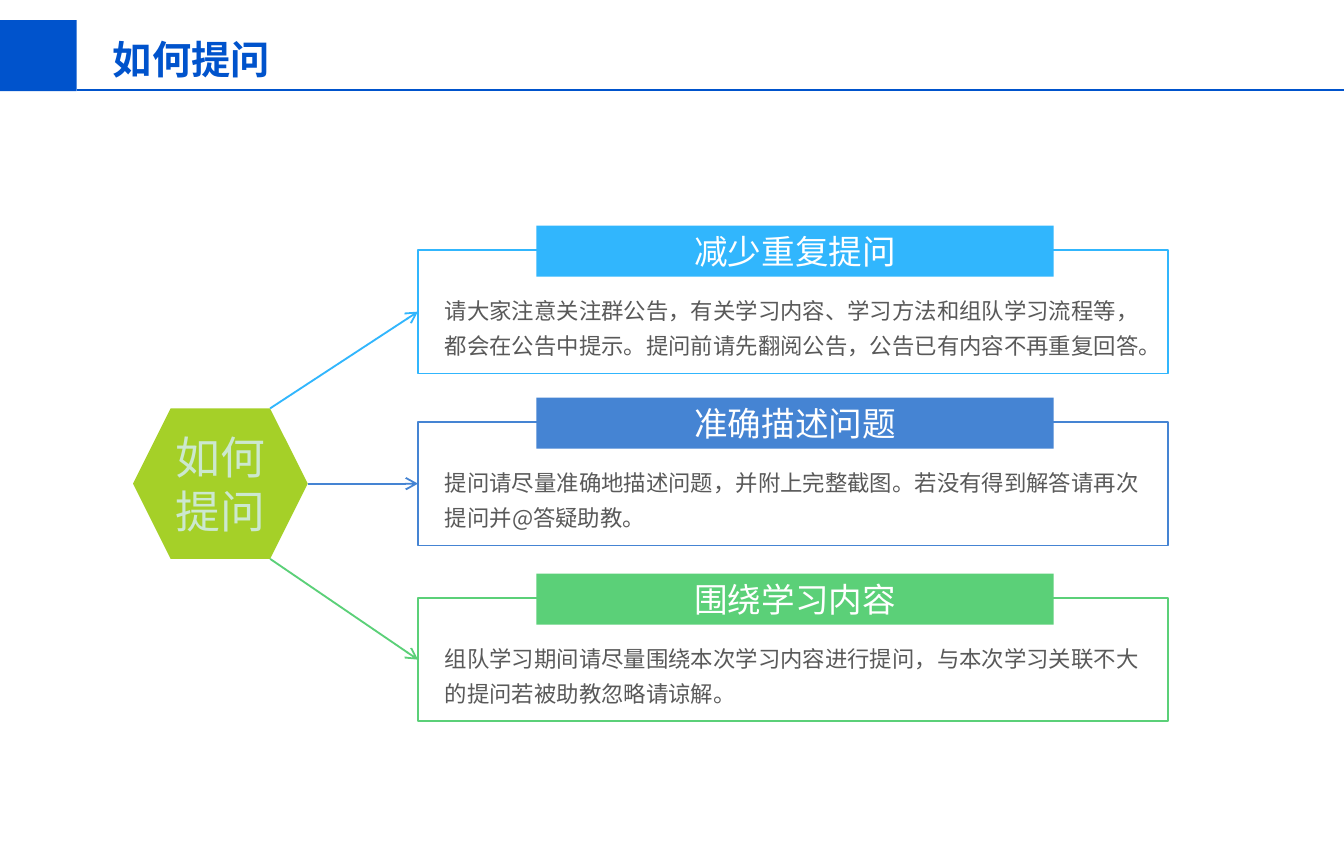
from lxml.etree import SubElement
from pptx import Presentation
from pptx.dml.color import RGBColor
from pptx.enum.shapes import MSO_CONNECTOR, MSO_SHAPE
from pptx.enum.text import MSO_ANCHOR, PP_ALIGN
from pptx.oxml.ns import qn
from pptx.util import Inches, Pt

# Content
TITLE = "如何提问"
HUB = "如何提问"
# heading, body, colour, top of the frame, width of the body text
CARDS = [
    ("减少重复提问", "请大家注意关注群公告，有关学习内容、学习方法和组队学习流程等，"
     "都会在公告中提示。提问前请先翻阅公告，公告已有内容不再重复回答。", "sky", 1.86, 5.46),
    ("准确描述问题", "提问请尽量准确地描述问题，并附上完整截图。若没有得到解答请再次"
     "提问并@答疑助教。", "blue", 3.14, 5.35),
    ("围绕学习内容", "组队学习期间请尽量围绕本次学习内容进行提问，与本次学习关联不大"
     "的提问若被助教忽略请谅解。", "green", 4.45, 5.35),
]
COLORS = {"brand": "0053CC", "sky": "31B6FD", "blue": "4584D3", "green": "5BD078",
          "lime": "A5D028", "pale": "CCE8CF", "white": "FFFFFF", "gray": "595959"}
FONT = "Noto Sans CJK SC"

# Layout in inches
WIDE, HIGH = 10, 6.26
LEFT, CARD_W, CARD_H = 3.11, 5.58, 0.92
HUB_X, HUB_Y, HUB_W, HUB_H = 0.99, 3.04, 1.3, 1.12
CUT = HUB_H / 4  # inset of the hexagon's upper and lower corners
RULE = 0.67

deck = Presentation()
deck.slide_width, deck.slide_height = Inches(WIDE), Inches(HIGH)
slide = deck.slides.add_slide(deck.slide_layouts[6])
shapes = slide.shapes


def color(name):
    return RGBColor.from_string(COLORS[name])


def write(shape, text, size, ink, bold=False, space=None, align=None, pad=(0.08, 0.04)):
    frame = shape.text_frame
    frame.text = text
    frame.word_wrap = True
    frame.margin_left = frame.margin_right = Inches(pad[0])
    frame.margin_top = frame.margin_bottom = Inches(pad[1])
    para = frame.paragraphs[0]
    para.alignment, para.line_spacing = align, space
    font = para.runs[0].font
    font.size, font.bold, font.name = Pt(size), bold, FONT
    font.color.rgb = color(ink)
    SubElement(para.runs[0].font._element, qn("a:ea"), typeface=FONT)


def block(kind, box, fill=None, edge=None):
    shape = shapes.add_shape(kind, *map(Inches, box))
    shape.shadow.inherit = False
    if fill:
        shape.fill.solid()
        shape.fill.fore_color.rgb = color(fill)
    else:
        shape.fill.background()
    if edge:
        shape.line.color.rgb = color(edge)
        shape.line.width = Pt(1)
    else:
        shape.line.fill.background()
    return shape


def label(shape, text, size, ink):
    write(shape, text, size, ink, align=PP_ALIGN.CENTER)
    shape.text_frame.vertical_anchor = MSO_ANCHOR.MIDDLE


def note(box, text, size, ink, **style):
    write(shapes.add_textbox(*map(Inches, box)), text, size, ink, **style)


def link(start, end, ink, arrow=False):
    line = shapes.add_connector(MSO_CONNECTOR.STRAIGHT, *map(Inches, start + end))
    line.line.color.rgb = color(ink)
    line.line.width = Pt(1)
    if arrow:
        SubElement(line.line._get_or_add_ln(), qn("a:tailEnd"), type="arrow")
    SubElement(line._element.spPr, qn("a:effectLst"))


# Header
slide.background.fill.solid()
slide.background.fill.fore_color.rgb = color("white")
block(MSO_SHAPE.RECTANGLE, (0, 0.15, 0.57, 0.53), "brand")
link((0.57, RULE), (WIDE, RULE), "brand")
note((0.84, 0.19, 7.74, 0.42), TITLE, 21, "brand", bold=True, space=1.2, pad=(0, 0))

# Hub
hub = block(MSO_SHAPE.HEXAGON, (HUB_X, HUB_Y, HUB_W, HUB_H), "lime")
label(hub, HUB, 24, "pale")
right = HUB_X + HUB_W
ports = [(right - CUT, HUB_Y), (right, HUB_Y + HUB_H / 2), (right - CUT, HUB_Y + HUB_H)]

# Cards, each with its arrow from the hub
for (head, body, ink, top, width), port in zip(CARDS, ports):
    block(MSO_SHAPE.RECTANGLE, (LEFT, top, CARD_W, CARD_H), edge=ink)
    banner = block(MSO_SHAPE.RECTANGLE, (3.99, top - 0.18, 3.85, 0.38), ink)
    label(banner, head, 18, "white")
    note((3.23, top + 0.25, width, 0.6), body, 12, "gray", space=1.3)
    link(port, (LEFT, top + CARD_H / 2), ink, arrow=True)

deck.save("out.pptx")
